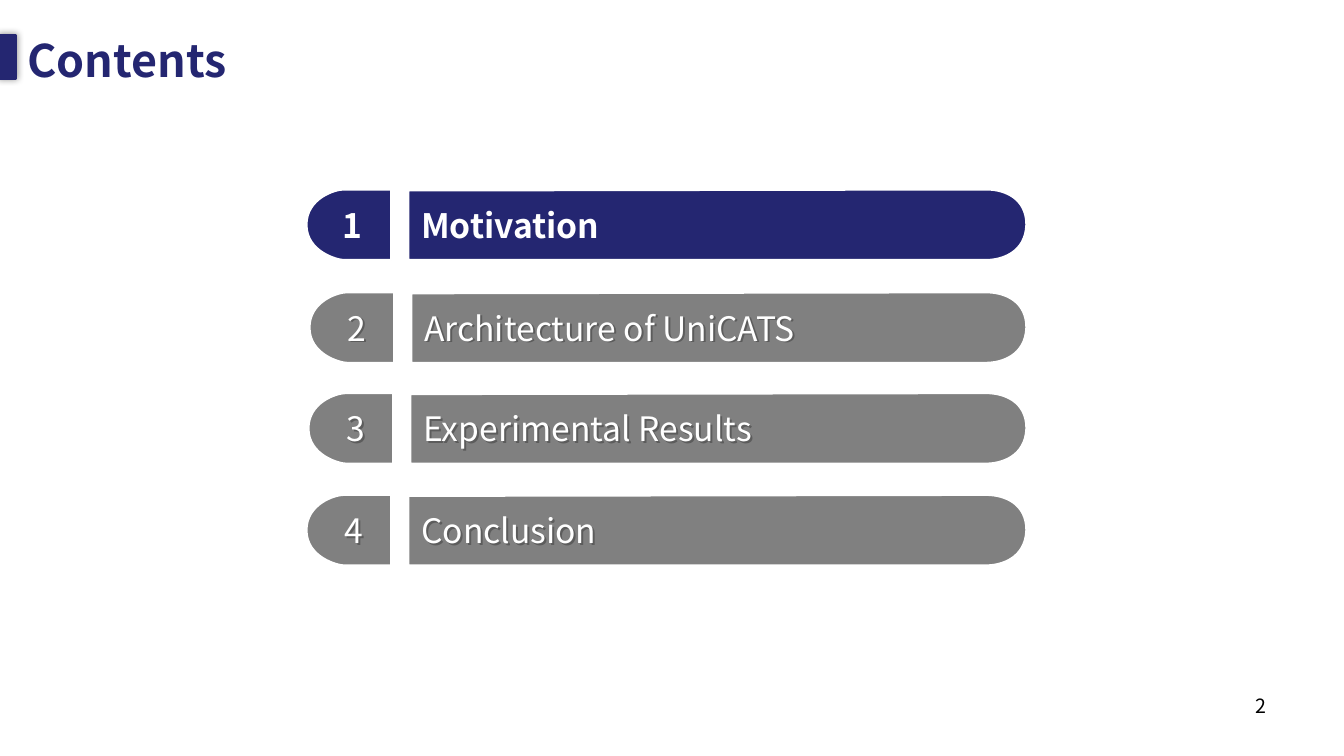
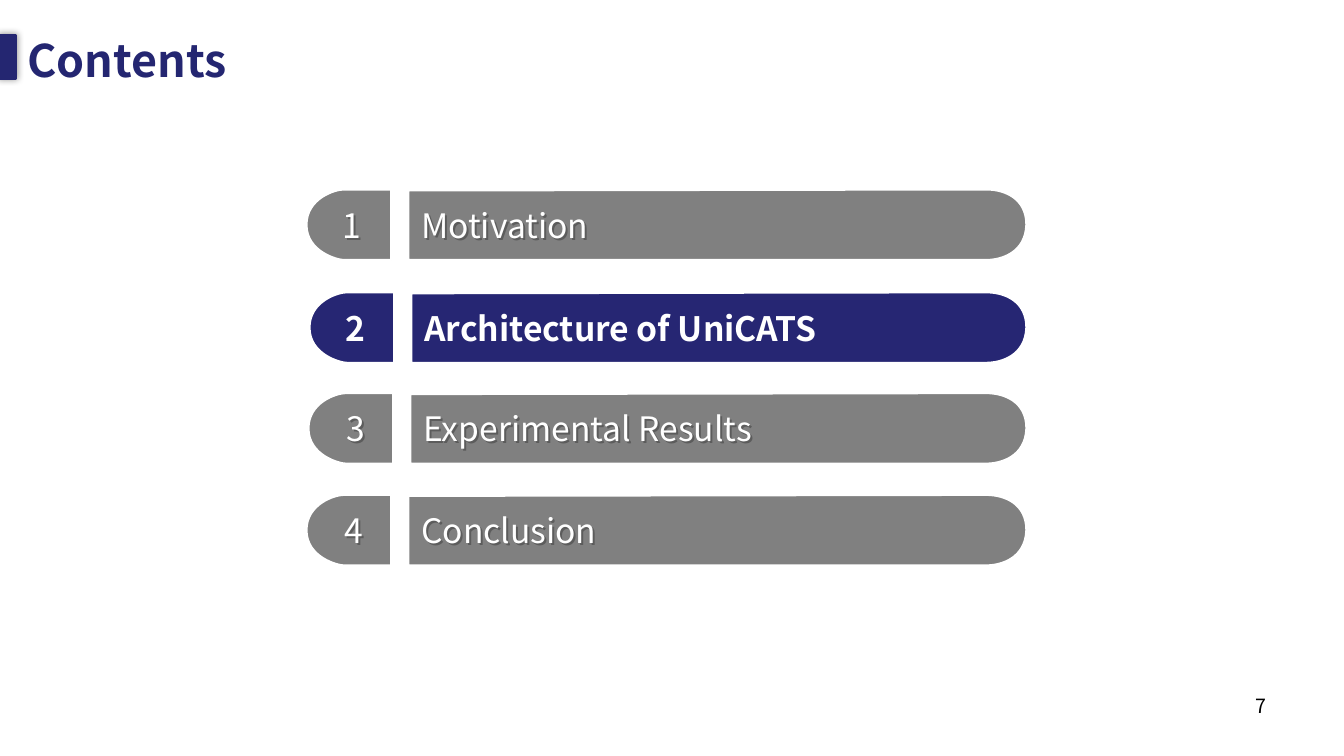
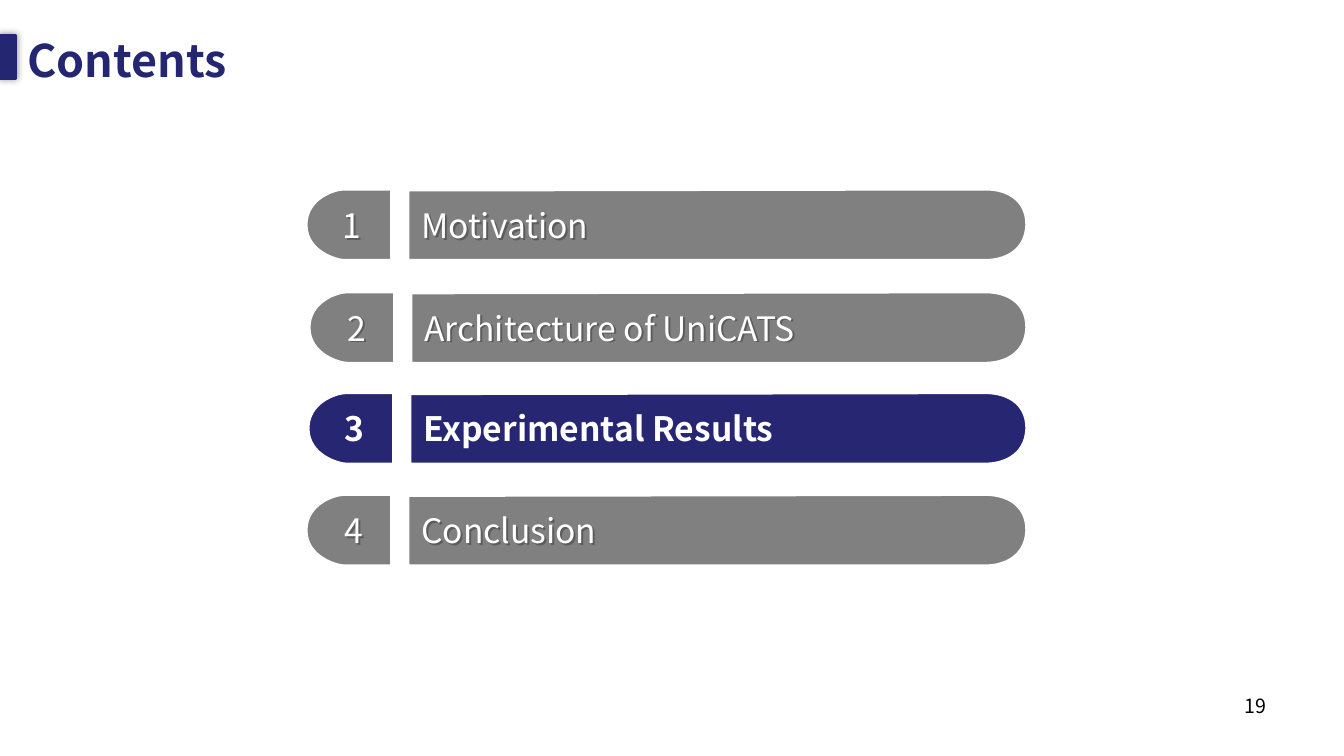
from lxml.etree import SubElement
from pptx import Presentation
from pptx.dml.color import RGBColor
from pptx.enum.shapes import MSO_SHAPE
from pptx.enum.text import MSO_ANCHOR, PP_ALIGN
from pptx.oxml.ns import qn
from pptx.util import Inches, Pt

# Shared style
FONT = "Noto Sans CJK SC"
NAVY = RGBColor(0x24, 0x26, 0x71)
INDIGO = RGBColor(0x26, 0x26, 0x73)
GRAY = RGBColor(0x80, 0x80, 0x80)
WHITE = RGBColor(0xFF, 0xFF, 0xFF)
BLACK = RGBColor(0x00, 0x00, 0x00)
SLIDE_W, SLIDE_H = 13.33, 7.5

# Agenda measures, in inches
AGENDA_RIGHT = 10.18
ROW_H = 0.7
TAB_W, TAB_GAP = 0.84, 0.17

# Chapter title, left and top of its row
CHAPTERS = [
    ("Motivation", 3.04, 1.88),
    ("Architecture of UniCATS", 3.07, 2.9),
    ("Experimental Results", 3.06, 3.9),
    ("Conclusion", 3.04, 4.91),
]
# Page number, index of the current chapter and its colour
PAGES = [(2, 0, NAVY), (7, 1, INDIGO), (19, 2, INDIGO)]


def add_shadow(shape, blur, distance, opacity):
    """Give the shape a black outer shadow towards the lower right."""
    effects = SubElement(shape._element.spPr, qn("a:effectLst"))
    shadow = SubElement(effects, qn("a:outerShdw"), blurRad=str(Pt(blur)),
                        dist=str(Pt(distance)), dir="2700000", algn="ctr", rotWithShape="0")
    color = SubElement(shadow, qn("a:srgbClr"), val=str(BLACK))
    SubElement(color, qn("a:alpha"), val=str(opacity * 1000))


def add_text(shapes, box, text, size, color, bold=False,
             align=PP_ALIGN.LEFT, anchor=MSO_ANCHOR.MIDDLE):
    textbox = shapes.add_textbox(*map(Inches, box))
    frame = textbox.text_frame
    frame.word_wrap = True
    frame.vertical_anchor = anchor
    frame.text = text
    paragraph = frame.paragraphs[0]
    paragraph.alignment = align
    font = paragraph.runs[0].font
    font.name, font.size, font.bold = FONT, Pt(size), bold
    font.color.rgb = color
    return textbox


def add_outline(shapes, left, top, corners, curves, color):
    """Straight run through the corners, then cubic curves of three points each."""
    points = [(Inches(left + x), Inches(top + y)) for x, y in corners + curves]
    builder = shapes.build_freeform(*points[0], scale=1.0)
    builder.add_line_segments(points[1:], close=True)
    outline = builder.convert_to_shape()

    # Merge each three points after the corners into one curve
    segments = list(outline._element.iter(qn("a:lnTo")))[len(corners) - 1:]
    segments = segments[:len(curves)]
    for first in range(0, len(curves), 3):
        start, *others = segments[first:first + 3]
        start.tag = qn("a:cubicBezTo")
        for segment in others:
            start.append(segment[0])
            segment.getparent().remove(segment)

    outline.shadow.inherit = False
    outline.fill.solid()
    outline.fill.fore_color.rgb = color
    outline.line.color.rgb = WHITE
    outline.line.width = Pt(1.5)


def add_number_tab(shapes, left, top, width, height, color):
    """Tab with a rounded left end."""
    end, middle = 0.37, height / 2
    add_outline(shapes, left, top,
                [(width, 0), (width, height), (end, height)],
                [(0.31, height), (0, 0.62), (0, middle),
                 (0, 0.09), (0.28, 0), (end, 0)], color)


def add_title_bar(shapes, left, top, width, height, color):
    """Bar with a rounded right end and a slightly sloping top."""
    end, middle = width - 0.4, height / 2
    add_outline(shapes, left, top,
                [(0, 0.01), (0, height), (end, height)],
                [(width - 0.25, height), (width - 0.01, 0.63), (width, middle),
                 (width, 0.09), (width - 0.21, 0), (end, 0)], color)


def add_chapter(slide, left, top, number, title, color, current):
    shapes = slide.shapes.add_group_shape().shapes
    bar_left = left + TAB_W + TAB_GAP
    add_title_bar(shapes, bar_left, top, AGENDA_RIGHT - bar_left, ROW_H, color)
    add_number_tab(shapes, left, top, TAB_W, ROW_H, color)
    align = PP_ALIGN.LEFT if current or number == 1 else PP_ALIGN.CENTER
    labels = [
        add_text(shapes, (left + 0.26, top + 0.1, 0.42, 0.5), str(number), 24, WHITE,
                 current, align),
        add_text(shapes, (bar_left + 0.03, top + 0.12, 5.85, 0.46), title, 24, WHITE,
                 current),
    ]
    if not current:
        for label in labels:
            add_shadow(label, blur=0, distance=2, opacity=28)


def add_frame(slide, title, page):
    """Accent, title and page number of every slide."""
    accent = slide.shapes.add_shape(
        MSO_SHAPE.RECTANGLE, *map(Inches, (-0.01, 0.35, 0.17, 0.43)))
    accent.fill.solid()
    accent.fill.fore_color.rgb = NAVY
    accent.line.color.rgb = NAVY
    accent.line.width = Pt(2)
    add_shadow(accent, blur=5, distance=0, opacity=40)
    add_text(slide.shapes, (9.55, 6.83, 3.11, 0.52), str(page), 14, BLACK,
             align=PP_ALIGN.RIGHT, anchor=MSO_ANCHOR.TOP)
    add_text(slide.shapes, (0.17, -0.13, 12.95, 1.45), title, 32, NAVY, bold=True)


def add_contents_slide(deck, page, current, highlight):
    slide = deck.slides.add_slide(deck.slide_layouts[6])
    add_frame(slide, "Contents", page)
    for row, (title, left, top) in enumerate(CHAPTERS):
        color = highlight if row == current else GRAY
        add_chapter(slide, left, top, row + 1, title, color, row == current)


def main():
    deck = Presentation()
    deck.slide_width, deck.slide_height = Inches(SLIDE_W), Inches(SLIDE_H)
    for page, current, highlight in PAGES:
        add_contents_slide(deck, page, current, highlight)
    deck.save("out.pptx")


if __name__ == "__main__":
    main()
